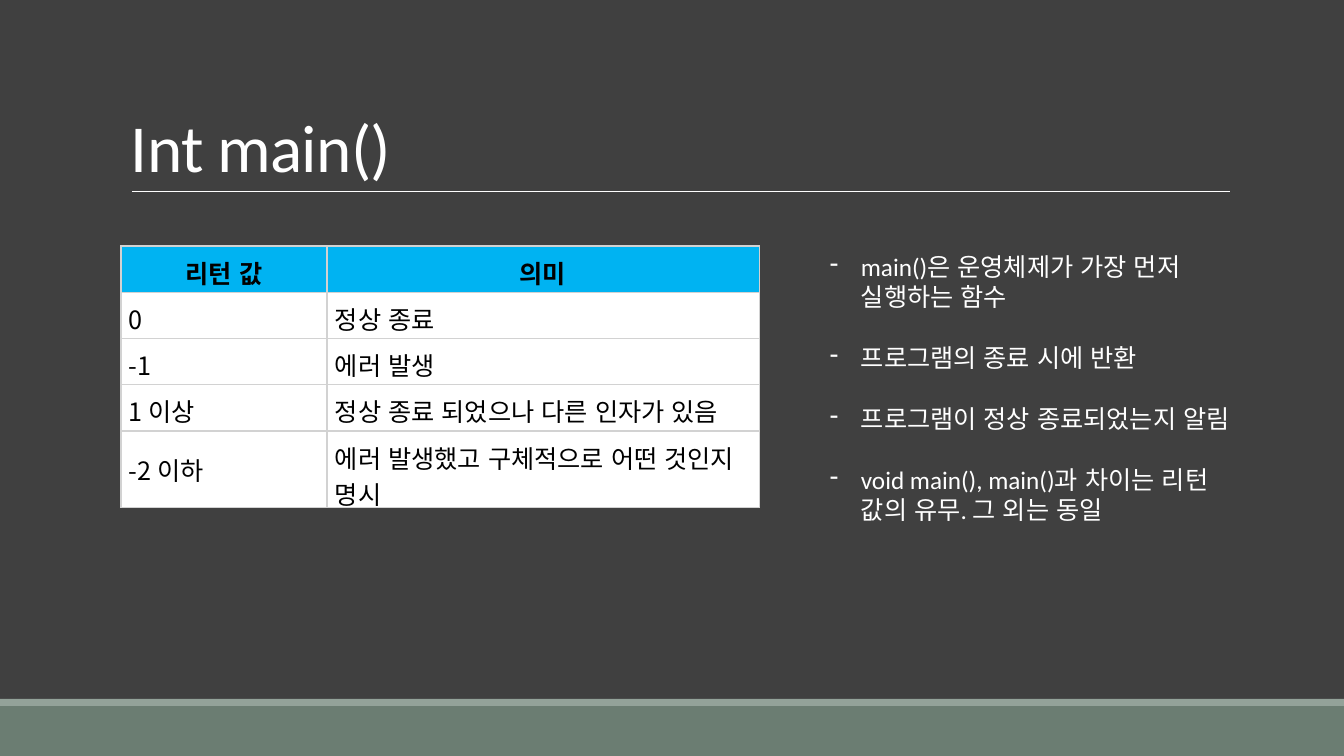
from pptx import Presentation
from pptx.dml.color import RGBColor
from pptx.enum.lang import MSO_LANGUAGE_ID
from pptx.enum.shapes import MSO_CONNECTOR, MSO_SHAPE
from pptx.enum.text import MSO_ANCHOR, PP_ALIGN
from pptx.oxml import parse_xml
from pptx.oxml.ns import nsdecls
from pptx.util import Pt

TITLE = "Int main()"
RETURN_VALUES = [
    ("리턴 값", "의미"),
    ("0", "정상 종료"),
    ("-1", "에러 발생"),
    ("1 이상", "정상 종료 되었으나 다른 인자가 있음"),
    ("-2 이하", "에러 발생했고 구체적으로 어떤 것인지 명시"),
]
NOTES = [
    "main()은 운영체제가 가장 먼저 실행하는 함수",
    "프로그램의 종료 시에 반환",
    "프로그램이 정상 종료되었는지 알림",
    "void main(), main()과 차이는 리턴 값의 유무. 그 외는 동일",
]
BANDS = [(706, 50, "6B7D72"), (699, 7, "93A299")]
COLUMN_WIDTHS = (206, 432)
ROW_HEIGHT, TABLE_HEIGHT = 36, 265
CELL_MARGIN = 8
BULLET_INDENT = 31
WIDTH, HEIGHT = 1344, 756


def px(length):
    return length * 9072


def color(value):
    return RGBColor.from_string(value)


def style(span, size, name, fill, bold=False):
    font = span.font
    font.size, font.name, font.bold = Pt(size), name, bold
    font.color.rgb = color(fill)
    font.language_id = MSO_LANGUAGE_ID.KOREAN


def add_text_box(page, left, top, width, height):
    box = page.shapes.add_textbox(px(left), px(top), px(width), px(height))
    box.text_frame.word_wrap = True
    return box.text_frame


def add_background(page):
    page.background.fill.solid()
    page.background.fill.fore_color.rgb = color("404040")
    for top, height, fill in BANDS:
        band = page.shapes.add_shape(MSO_SHAPE.RECTANGLE, 0, px(top), px(WIDTH), px(height))
        band.shadow.inherit = False
        band.fill.solid()
        band.fill.fore_color.rgb = color(fill)
        band.line.fill.background()


def add_title(page):
    rule = page.shapes.add_connector(MSO_CONNECTOR.STRAIGHT, px(132), px(191), px(1230), px(191))
    rule.line.color.rgb = color("FFFFFF")
    rule.line.width = Pt(0.5)
    rule._element.spPr.append(parse_xml(f"<a:effectLst {nsdecls('a')}/>"))
    frame = add_text_box(page, 121, 31, 1109, 160)
    frame.vertical_anchor = MSO_ANCHOR.BOTTOM
    frame.text = TITLE
    para = frame.paragraphs[0]
    para.line_spacing = 0.85
    span = para.runs[0]
    style(span, 48, "Calibri", "FFFFFF")
    span._r.get_or_add_rPr().set("spc", "-50")


def add_notes(page):
    frame = add_text_box(page, 820, 246, 420, 316)
    frame.text = "\n".join(NOTES)
    for para in frame.paragraphs:
        para.space_after = Pt(22)
        properties = para._p.get_or_add_pPr()
        properties.set("marL", str(px(BULLET_INDENT)))
        properties.set("indent", str(-px(BULLET_INDENT)))
        properties.append(parse_xml(f'<a:buChar {nsdecls("a")} char="-"/>'))
        for span in para.runs:
            style(span, 18, "Calibri", "FFFFFF")


def add_borders(cell, is_last_row, is_last_column):
    properties = cell._tc.get_or_add_tcPr()
    widths = {"L": 1, "R": 0.6 if is_last_column else 1,
              "T": 1, "B": 0.6 if is_last_row else 1}
    for index, (side, width) in enumerate(widths.items()):
        properties.insert(index, parse_xml(
            f'<a:ln{side} {nsdecls("a")} w="{Pt(width)}"><a:solidFill>'
            f'<a:srgbClr val="D2D2D2"/></a:solidFill></a:ln{side}>'))


def add_return_table(page):
    rows, columns = len(RETURN_VALUES), len(COLUMN_WIDTHS)
    holder = page.shapes.add_table(rows, columns, px(121), px(246),
                                   px(sum(COLUMN_WIDTHS)), px(ROW_HEIGHT * rows))
    table = holder.table
    for column, width in zip(table.columns, COLUMN_WIDTHS):
        column.width = px(width)
    for row, values in enumerate(RETURN_VALUES):
        header = row == 0
        for column, value in enumerate(values):
            cell = table.cell(row, column)
            cell.text = value
            cell.vertical_anchor = MSO_ANCHOR.MIDDLE
            cell.margin_left = cell.margin_right = px(CELL_MARGIN)
            cell.margin_top = cell.margin_bottom = px(CELL_MARGIN)
            cell.fill.solid()
            cell.fill.fore_color.rgb = color("00B3F2" if header else "FFFFFF")
            para = cell.text_frame.paragraphs[0]
            para.alignment = PP_ALIGN.CENTER if header else PP_ALIGN.LEFT
            style(para.runs[0], 18, "Calibri" if header else "Noto Sans CJK KR",
                  "000000", header)
            add_borders(cell, row == rows - 1, column == columns - 1)
    holder.height = px(TABLE_HEIGHT)


def main():
    deck = Presentation()
    deck.slide_width, deck.slide_height = px(WIDTH), px(HEIGHT)
    page = deck.slides.add_slide(deck.slide_layouts[6])
    add_background(page)
    add_title(page)
    add_notes(page)
    add_return_table(page)
    deck.save("out.pptx")


if __name__ == "__main__":
    main()
